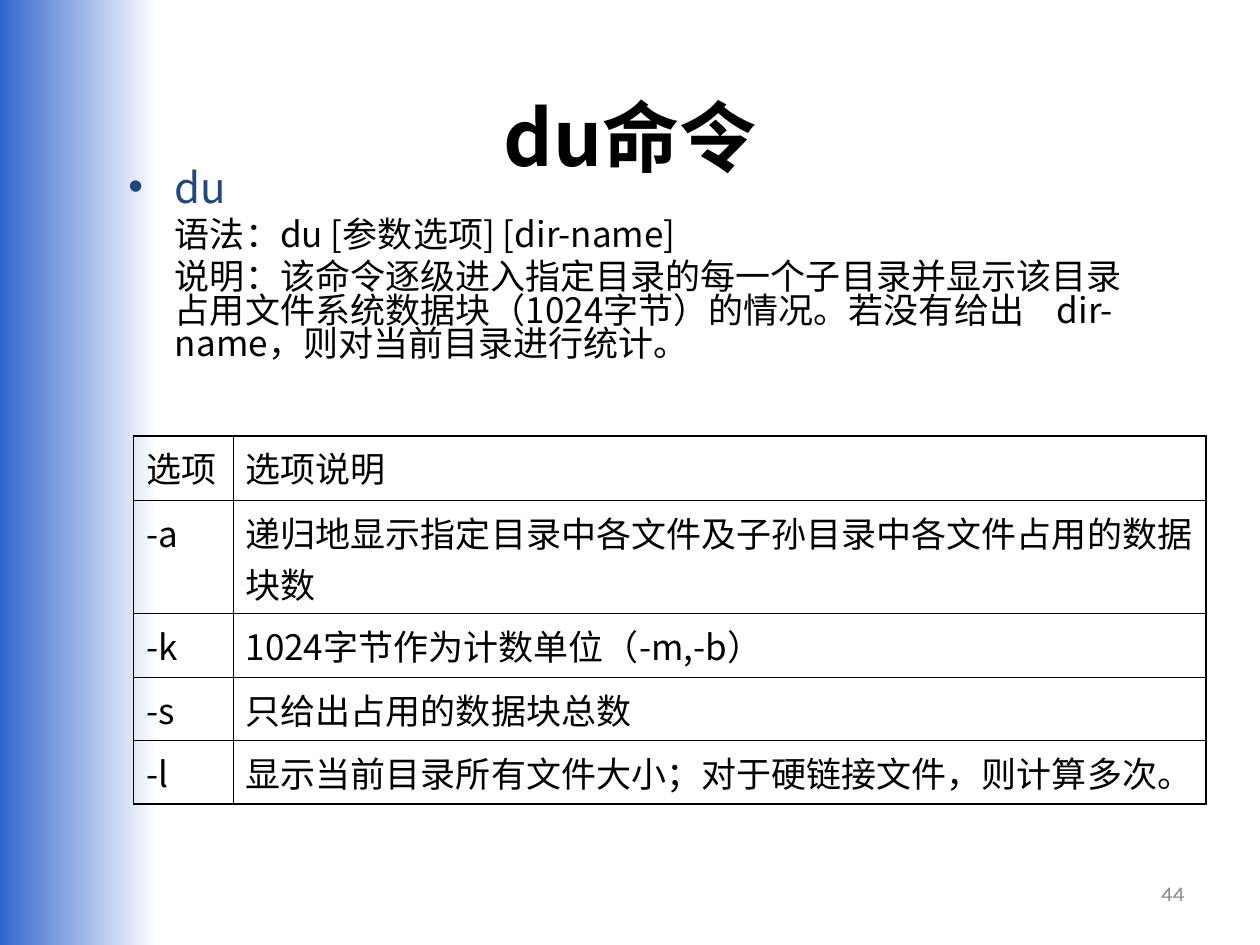
import dataclasses

import pptx
import pptx.dml.color
import pptx.enum.shapes
import pptx.enum.text
import pptx.oxml.ns
import pptx.util
from lxml import etree

Inches = pptx.util.Inches
Pt = pptx.util.Pt
Align = pptx.enum.text.PP_ALIGN
Anchor = pptx.enum.text.MSO_ANCHOR
qn = pptx.oxml.ns.qn


@dataclasses.dataclass(frozen=True)
class Theme:
    ink: str = "000000"
    paper: str = "FFFFFF"
    band: str = "3366CC"
    accent: str = "1F497D"
    muted: str = "898989"
    font: str = "Noto Sans CJK SC"
    title_font: str = "Calibri"
    number_font: str = "Karla"
    title_size: int = 44
    lead_size: int = 24
    text_size: int = 20
    number_size: int = 12
    outer_line: float = 1.08
    inner_line: float = 0.45


THEME = Theme()

OPTIONS = [
    ("选项", "选项说明"),
    ("-a", "递归地显示指定目录中各文件及子孙目录中各文件占用的数据块数"),
    ("-k", "1024字节作为计数单位（-m,-b）"),
    ("-s", "只给出占用的数据块总数"),
    ("-l", "显示当前目录所有文件大小；对于硬链接文件，则计算多次。"),
]

USAGE = [
    "du",
    "语法：du [参数选项] [dir-name]",
    "说明：该命令逐级进入指定目录的每一个子目录并显示该目录"
    "占用文件系统数据块（1024字节）的情况。若没有给出\tdir-name，则对当前目录进行统计。",
]


def rgb(value):
    return pptx.dml.color.RGBColor.from_string(value)


def format_span(span, size, color=THEME.ink, font=THEME.font, bold=False):
    span.font.size = Pt(size)
    span.font.bold = bold
    span.font.name = font
    span.font.color.rgb = rgb(color)
    east_asian = etree.SubElement(span.font._element, qn("a:ea"))
    east_asian.set("typeface", THEME.font)


def place(shape, box):
    shape.left, shape.top, shape.width, shape.height = map(Inches, box)


def set_indent(para, left, first, bullet=None):
    properties = para._p.get_or_add_pPr()
    properties.set("marL", str(Inches(left)))
    properties.set("indent", str(Inches(first)))
    if bullet:
        color = etree.SubElement(properties, qn("a:buClr"))
        etree.SubElement(color, qn("a:srgbClr")).set("val", THEME.accent)
        etree.SubElement(properties, qn("a:buFont")).set("typeface", "Arial")
        etree.SubElement(properties, qn("a:buChar")).set("char", bullet)
    else:
        etree.SubElement(properties, qn("a:buNone"))
    stops = etree.SubElement(properties, qn("a:tabLst"))
    for inch in range(8):
        etree.SubElement(stops, qn("a:tab"), pos=str(Inches(inch)), algn="l")


def add_side_band(page, box):
    band = page.shapes.add_shape(
        pptx.enum.shapes.MSO_SHAPE.RECTANGLE, *map(Inches, box))
    band.shadow.inherit = False
    band.line.fill.background()
    band.fill.gradient()
    band.fill.gradient_angle = 180
    for stop, color in zip(band.fill.gradient_stops, (THEME.paper, THEME.band)):
        stop.color.rgb = rgb(color)


def add_title(page, box):
    title = page.shapes.title
    place(title, box)
    title.text_frame.vertical_anchor = Anchor.MIDDLE
    para = title.text_frame.paragraphs[0]
    para.alignment = Align.CENTER
    for text, font in (("du", THEME.font), ("命令", THEME.title_font)):
        span = para.add_run()
        span.text = text
        format_span(span, THEME.title_size, font=font, bold=True)


def add_usage(page, box):
    frame = page.shapes.add_textbox(*map(Inches, box)).text_frame
    frame.word_wrap = True
    frame.margin_right = Inches(0.7)
    frame.text = "\n".join(USAGE)
    for index, para in enumerate(frame.paragraphs):
        lead = index == 0
        para.line_spacing = 0.8
        para.space_before = Pt(6 if lead else 5)
        set_indent(para, 0.37, -0.37 if lead else 0, "•" if lead else None)
        format_span(para.runs[0], THEME.lead_size if lead else THEME.text_size,
                    THEME.accent if lead else THEME.ink)


def set_borders(cell, outer_sides):
    properties = cell._tc.get_or_add_tcPr()
    for index, side in enumerate("LRTB"):
        width = THEME.outer_line if side in outer_sides else THEME.inner_line
        line = etree.Element(qn(f"a:ln{side}"), w=str(Pt(width)))
        fill = etree.SubElement(line, qn("a:solidFill"))
        etree.SubElement(fill, qn("a:srgbClr")).set("val", THEME.ink)
        properties.insert(index, line)


def add_options(page, box, columns, rows):
    table = page.shapes.add_table(
        len(rows), len(columns), *map(Inches, box)).table
    table.first_row = False
    table.horz_banding = False
    for column, width in zip(table.columns, columns):
        column.width = Inches(width)
    last_row, last_column = len(rows) - 1, len(columns) - 1
    for r, (height, texts) in enumerate(zip(rows, OPTIONS)):
        table.rows[r].height = Inches(height)
        for c, text in enumerate(texts):
            cell = table.cell(r, c)
            cell.text = text
            cell.fill.background()
            para = cell.text_frame.paragraphs[0]
            if r == 0 or (r, c) == (1, 1):
                para.space_before = Pt(5)
            format_span(para.runs[0], THEME.text_size)
            edges = {"L": c == 0, "R": c == last_column,
                     "T": r == 0, "B": r == last_row}
            set_borders(cell, [side for side, outer in edges.items() if outer])


def add_page_number(page, box):
    frame = page.shapes.add_textbox(*map(Inches, box)).text_frame
    frame.word_wrap = True
    frame.vertical_anchor = Anchor.MIDDLE
    frame.text = "44"
    para = frame.paragraphs[0]
    para.alignment = Align.RIGHT
    format_span(para.runs[0], THEME.number_size, THEME.muted, THEME.number_font)


def main():
    deck = pptx.Presentation()
    deck.slide_width, deck.slide_height = Inches(10), Inches(7.5)
    page = deck.slides.add_slide(deck.slide_layouts[5])
    page.background.fill.solid()
    page.background.fill.fore_color.rgb = rgb(THEME.paper)
    add_side_band(page, (0, 0, 1.25, 7.5))
    add_title(page, (0.5, 0.32, 9, 1.51))
    add_usage(page, (0.92, 1.31, 8.81, 1.67))
    add_options(page, (1.06, 3.46, 8.51, 2.92), (0.79, 7.72),
                (0.51, 0.9, 0.51, 0.5, 0.5))
    add_page_number(page, (7.17, 6.83, 2.33, 0.52))
    deck.save("out.pptx")


if __name__ == "__main__":
    main()
